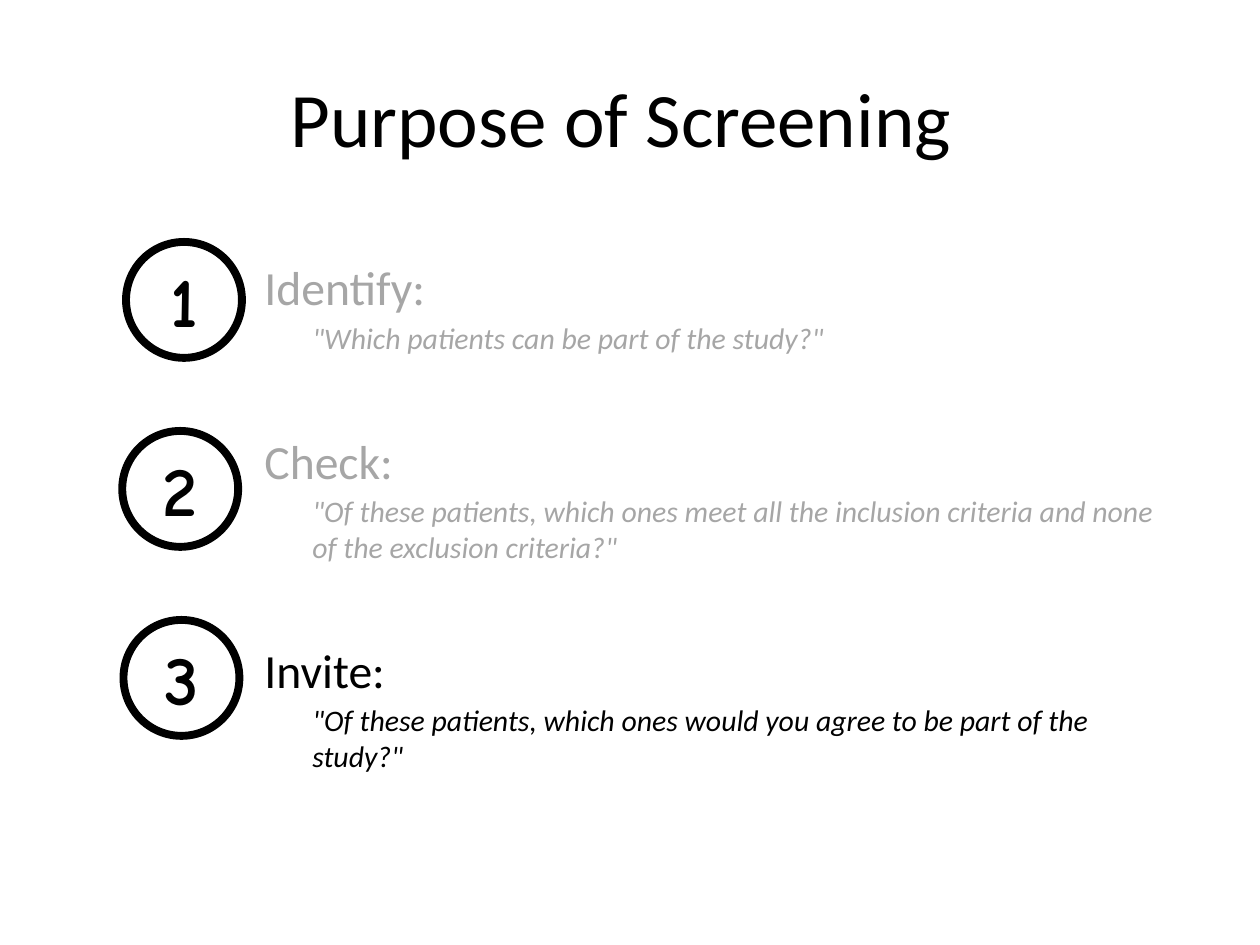
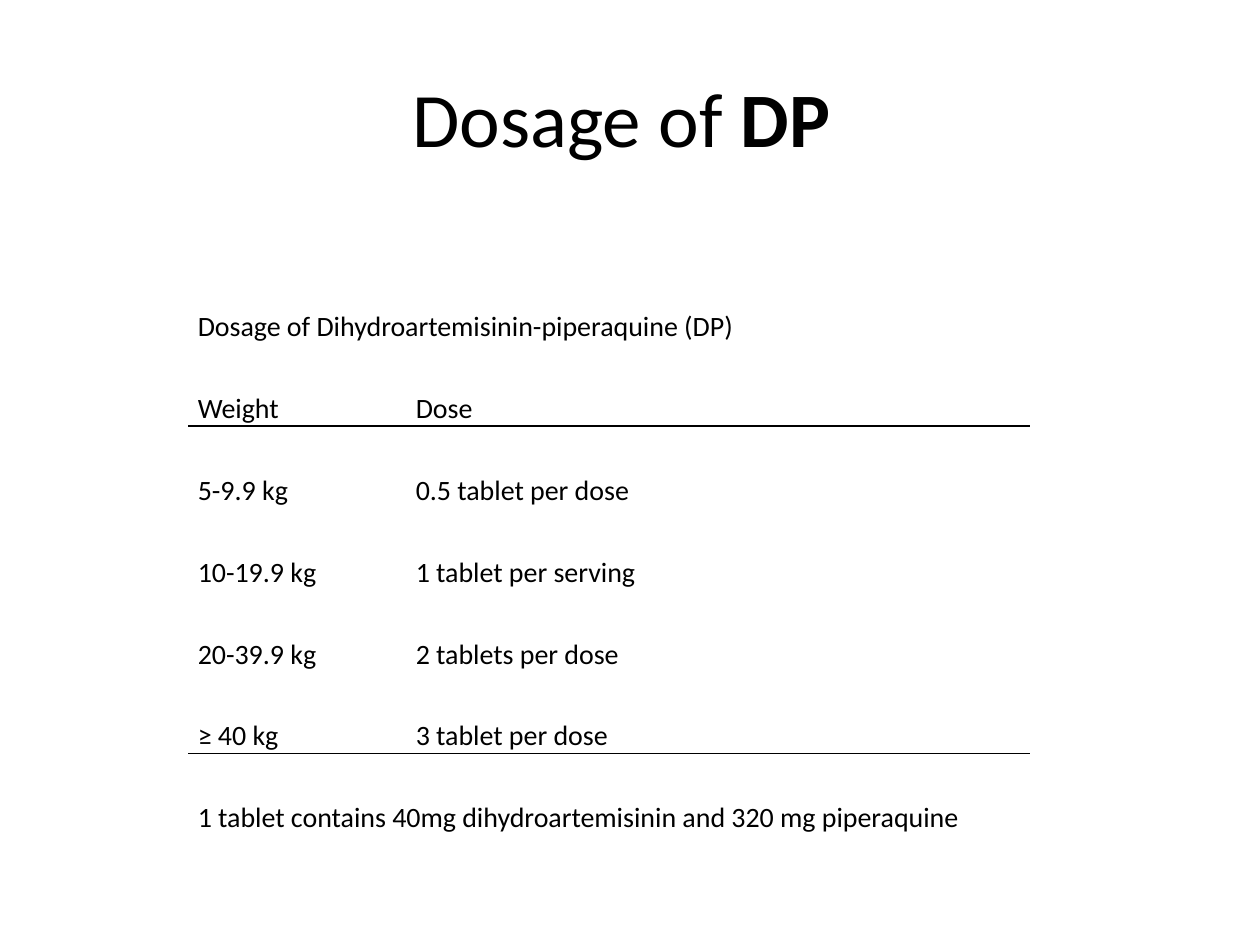
"""Build two slides on patient screening and drug dosage."""
from dataclasses import dataclass

from lxml.etree import SubElement
from pptx import Presentation
from pptx.dml.color import RGBColor
from pptx.enum.shapes import MSO_SHAPE as Shape
from pptx.enum.text import MSO_ANCHOR as Anchor, PP_ALIGN as Align
from pptx.oxml.ns import qn
from pptx.util import Inches, Pt

COLORS = {"black": "000000", "muted": "A6A6A6"}
BODY_FONT = "Calibri"
NUMBER_FONT = "Comic Neue"


@dataclass(frozen=True)
class Step:
    heading: str
    question: str
    color: str
    circle_left: float


STEPS = [
    Step("Identify:", '"Which patients can be part of the study?"', "muted", 1.0),
    Step("Check:", '"Of these patients, which ones meet all the inclusion criteria '
         'and none of the exclusion criteria?"', "muted", 0.97),
    Step("Invite:", '"Of these patients, which ones would you agree to be part of '
         'the study?"', "black", 0.98),
]
CIRCLE_TOP, CIRCLE_PITCH, CIRCLE_SIZE = 1.92, 1.5, 0.92

DOSAGE_ROWS = [
    ("Dosage of Dihydroartemisinin-piperaquine (DP)",),
    ("Weight", "Dose"),
    ("5-9.9 kg", "0.5 tablet per dose"),
    ("10-19.9 kg", "1 tablet per serving"),
    ("20-39.9 kg", "2 tablets per dose"),
    ("≥ 40 kg", "3 tablet per dose"),
    ("1 tablet contains 40mg dihydroartemisinin and 320 mg piperaquine",),
]
RULED_ROWS = {1, 5}
COLUMN_WIDTHS = (1.73, 4.94)
ROW_HEIGHT = 0.65


def style_paragraph(paragraph, size: float, color: str = "black",
                    name: str = BODY_FONT) -> None:
    font = paragraph.font
    font.name, font.size = name, Pt(size)
    font.color.rgb = RGBColor.from_string(COLORS[color])


def add_text_frame(slide, left: float, top: float, width: float, height: float):
    box = slide.shapes.add_textbox(Inches(left), Inches(top), Inches(width), Inches(height))
    box.text_frame.word_wrap = True
    return box.text_frame


def add_title(slide, text: str, bold_text: str = "") -> None:
    frame = add_text_frame(slide, 0.5, 0.3, 9, 1.25)
    frame.vertical_anchor = Anchor.MIDDLE
    paragraph = frame.paragraphs[0]
    paragraph.alignment = Align.CENTER
    style_paragraph(paragraph, 44)
    paragraph.add_run().text = text
    if bold_text:
        run = paragraph.add_run()
        run.text = bold_text
        run.font.bold = True


def add_step_text(frame, step: Step, first: bool) -> None:
    heading = frame.paragraphs[0] if first else frame.add_paragraph()
    heading.text = step.heading
    style_paragraph(heading, 27.2, step.color)
    question = frame.add_paragraph()
    question.text = step.question
    question.space_before, question.space_after = Pt(2.3), Pt(43.8)
    style_paragraph(question, 17, step.color)
    question.font.italic = True
    properties = question._p.get_or_add_pPr()
    properties.set("marL", str(Inches(0.38)))
    properties.set("indent", "0")


def add_number_circle(slide, number: int, left: float, top: float) -> None:
    circle = slide.shapes.add_shape(Shape.OVAL, Inches(left), Inches(top),
                                    Inches(CIRCLE_SIZE), Inches(CIRCLE_SIZE))
    circle.shadow.inherit = False
    circle.fill.background()
    circle.line.color.rgb = RGBColor.from_string(COLORS["black"])
    circle.line.width = Pt(4.5)
    circle.text_frame.vertical_anchor = Anchor.MIDDLE
    paragraph = circle.text_frame.paragraphs[0]
    paragraph.text = str(number)
    paragraph.alignment = Align.CENTER
    style_paragraph(paragraph, 40, name=NUMBER_FONT)
    paragraph.font.bold = True


def add_border(cell, tag: str) -> None:
    line = SubElement(cell._tc.get_or_add_tcPr(), qn(tag), w=str(Pt(1)))
    fill = SubElement(line, qn("a:solidFill"))
    SubElement(fill, qn("a:srgbClr"), val=COLORS["black"])


def add_dosage_table(slide) -> None:
    row_count = len(DOSAGE_ROWS)
    table = slide.shapes.add_table(
        row_count, len(COLUMN_WIDTHS), Inches(1.5), Inches(2.08),
        Inches(sum(COLUMN_WIDTHS)), Inches(ROW_HEIGHT * row_count)).table
    table.first_row = table.horz_banding = False
    for column, width in zip(table.columns, COLUMN_WIDTHS):
        column.width = Inches(width)
    for row_index, texts in enumerate(DOSAGE_ROWS):
        row = table.rows[row_index]
        row.height = Inches(ROW_HEIGHT)
        if len(texts) == 1:
            row.cells[0].merge(row.cells[1])
        for cell in row.cells:
            if row_index - 1 in RULED_ROWS:
                add_border(cell, "a:lnT")
            if row_index in RULED_ROWS:
                add_border(cell, "a:lnB")
            cell.fill.background()
        for cell, text in zip(row.cells, texts):
            cell.margin_left = cell.margin_right = Inches(0.07)
            cell.margin_top = cell.margin_bottom = 0
            cell.vertical_anchor = Anchor.BOTTOM
            paragraph = cell.text_frame.paragraphs[0]
            paragraph.text = text
            paragraph.line_spacing = 1.15
            style_paragraph(paragraph, 16)


def build_screening_slide(slide) -> None:
    add_title(slide, "Purpose of Screening ")
    frame = add_text_frame(slide, 2, 2, 7.31, 3.85)
    for index, step in enumerate(STEPS):
        add_step_text(frame, step, first=index == 0)
        add_number_circle(slide, index + 1, step.circle_left,
                          CIRCLE_TOP + index * CIRCLE_PITCH)


def build_dosage_slide(slide) -> None:
    add_title(slide, "Dosage of ", "DP ")
    add_dosage_table(slide)


def main() -> None:
    presentation = Presentation()
    presentation.slide_width, presentation.slide_height = Inches(10), Inches(7.5)
    blank_layout = presentation.slide_layouts[6]
    for build_slide in (build_screening_slide, build_dosage_slide):
        build_slide(presentation.slides.add_slide(blank_layout))
    presentation.save("out.pptx")


if __name__ == "__main__":
    main()
